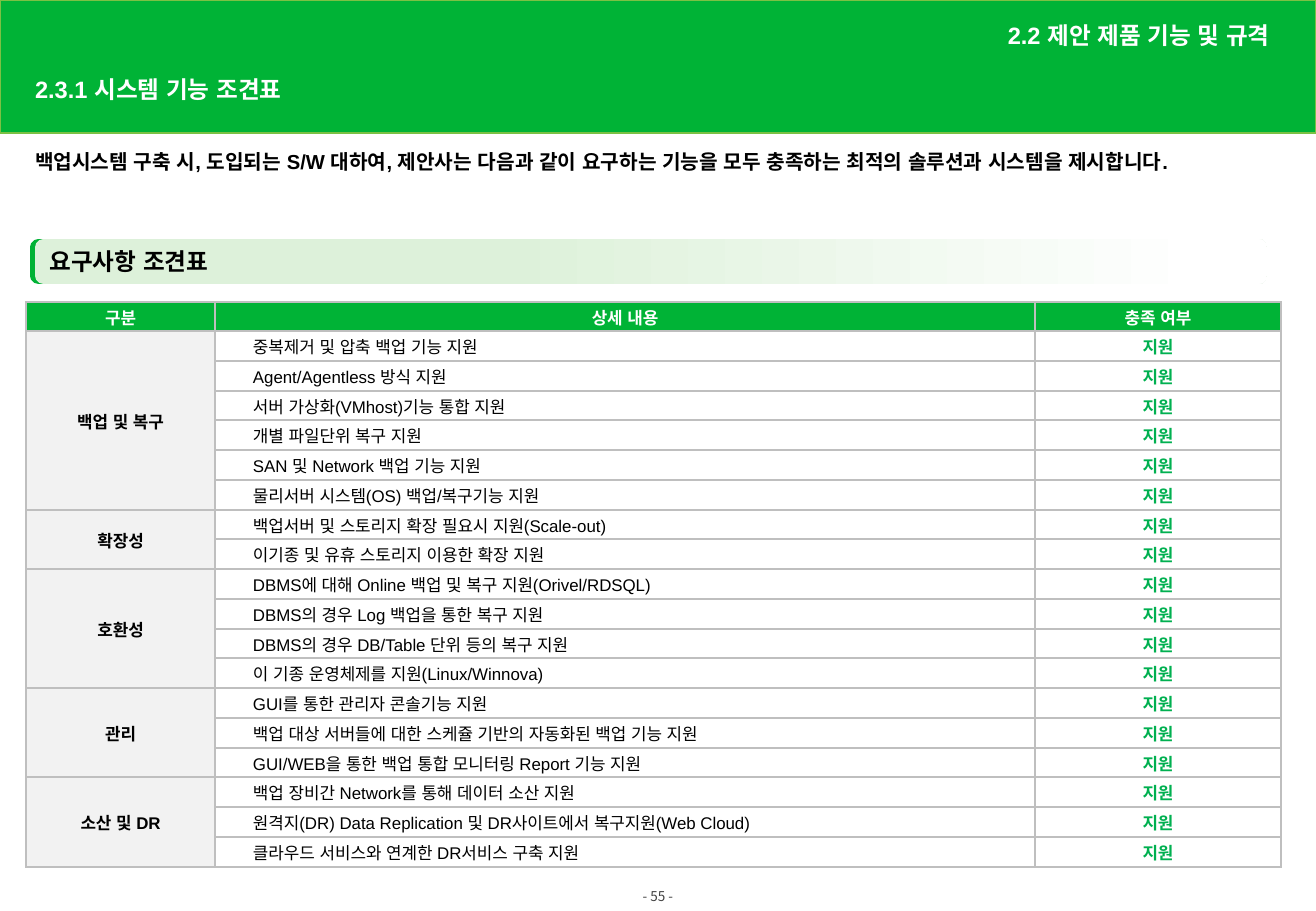
import pptx
import pptx.util
import pptx.dml.color
import pptx.enum.lang
import pptx.enum.shapes
import pptx.enum.text
import pptx.oxml
import pptx.oxml.ns
import lxml.etree

PX = 7526
GREEN = "00B336"
BLACK = "000000"
WHITE = "FFFFFF"
KOREAN_FONT = "Noto Sans CJK KR"
LEFT, CENTER, RIGHT = (
    pptx.enum.text.PP_ALIGN.LEFT,
    pptx.enum.text.PP_ALIGN.CENTER,
    pptx.enum.text.PP_ALIGN.RIGHT,
)
TOP, MIDDLE = pptx.enum.text.MSO_ANCHOR.TOP, pptx.enum.text.MSO_ANCHOR.MIDDLE
NAMESPACE = pptx.oxml.ns.nsdecls("a")


def color(value):
    return pptx.dml.color.RGBColor.from_string(value)


def write(text_frame, text, size, text_color, bold=True, align=LEFT, font_name="Arial"):
    paragraph = text_frame.paragraphs[0]
    paragraph.alignment = align
    run = paragraph.add_run()
    run.text = text
    font_format = {
        "name": font_name,
        "size": pptx.util.Pt(size),
        "bold": bold,
        "language_id": pptx.enum.lang.MSO_LANGUAGE_ID.KOREAN,
    }
    for name, value in font_format.items():
        setattr(run.font, name, value)
    run.font.color.rgb = color(text_color)
    east_asian = lxml.etree.SubElement(run.font._element, pptx.oxml.ns.qn("a:ea"))
    east_asian.set("typeface", KOREAN_FONT)
    return paragraph


presentation = pptx.Presentation()
presentation.slide_width = 1316 * PX
presentation.slide_height = 911 * PX
slide = presentation.slides.add_slide(presentation.slide_layouts[6])

banner = slide.shapes.add_shape(
    pptx.enum.shapes.MSO_SHAPE.RECTANGLE, 0, 0, 1316 * PX, 133 * PX
)
banner.shadow.inherit = False
banner.fill.solid()
banner.fill.fore_color.rgb = color(GREEN)
banner.line.color.rgb = color("7BC144")
banner.line.width = pptx.util.Pt(1)

text_boxes = [
    ((622, 888, 72, 16), "- 55 -", 8, "404040", False, CENTER, KOREAN_FONT, TOP, 0, 1),
    ((23, 72, 778, 38), "2.3.1 시스템 기능 조견표", 14, WHITE, True, LEFT, "Arial", MIDDLE, 12, 0.9),
    ((23, 143, 1258, 143), "백업시스템 구축 시, 도입되는 S/W 대하여, 제안사는 다음과 같이 요구하는 기능을 모두 충족하는 최적의 솔루션과 시스템을 제시합니다.",
     12, BLACK, True, LEFT, "Arial", TOP, 12, 1),
    ((699, 13, 583, 47), "2.2 제안 제품 기능 및 규격", 14, WHITE, True, RIGHT, "Arial", MIDDLE, 12, 0.9),
]
for box, text, size, text_color, bold, align, font_name, anchor, inset, spacing in text_boxes:
    text_box = slide.shapes.add_textbox(*[length * PX for length in box])
    frame_format = {
        "word_wrap": True,
        "vertical_anchor": anchor,
        "margin_left": inset * PX,
        "margin_right": inset * PX,
        "margin_top": inset // 2 * PX,
        "margin_bottom": inset // 2 * PX,
    }
    for name, value in frame_format.items():
        setattr(text_box.text_frame, name, value)
    paragraph = write(text_box.text_frame, text, size, text_color, bold, align, font_name)
    paragraph.line_spacing = spacing

requirements = {
    "백업 및 복구": [
        "중복제거 및 압축 백업 기능 지원",
        "Agent/Agentless 방식 지원",
        "서버 가상화(VMhost)기능 통합 지원",
        "개별 파일단위 복구 지원",
        "SAN 및 Network 백업 기능 지원",
        "물리서버 시스템(OS) 백업/복구기능 지원",
    ],
    "확장성": [
        "백업서버 및 스토리지 확장 필요시 지원(Scale-out)",
        "이기종 및 유휴 스토리지 이용한 확장 지원",
    ],
    "호환성": [
        "DBMS에 대해 Online 백업 및 복구 지원(Orivel/RDSQL)",
        "DBMS의 경우 Log 백업을 통한 복구 지원",
        "DBMS의 경우 DB/Table 단위 등의 복구 지원",
        "이 기종 운영체제를 지원(Linux/Winnova)",
    ],
    "관리": [
        "GUI를 통한 관리자 콘솔기능 지원",
        "백업 대상 서버들에 대한 스케쥴 기반의 자동화된 백업 기능 지원",
        "GUI/WEB을 통한 백업 통합 모니터링 Report 기능 지원",
    ],
    "소산 및 DR": [
        "백업 장비간 Network를 통해 데이터 소산 지원",
        "원격지(DR) Data Replication 및 DR사이트에서 복구지원(Web Cloud)",
        "클라우드 서비스와 연계한 DR서비스 구축 지원",
    ],
}
rows = [("구분", "상세 내용", "충족 여부")]
groups = []
for category, details in requirements.items():
    groups.append((len(rows), len(details)))
    for index, detail in enumerate(details):
        rows.append((category if index == 0 else "", detail, "지원"))

table = slide.shapes.add_table(
    len(rows), 3, 26 * PX, 302 * PX, 1255 * PX, 565 * PX
).table
for column, width in zip(table.columns, (189, 820, 246)):
    column.width = width * PX
for index, row in enumerate(table.rows):
    row.height = (565 * (index + 1) // len(rows) - 565 * index // len(rows)) * PX

column_styles = [
    ("F2F2F2", BLACK, True, CENTER, 1),
    (WHITE, BLACK, False, LEFT, 38),
    (WHITE, "00B050", True, CENTER, 1),
]
for row_index, texts in enumerate(rows):
    for column_index, text in enumerate(texts):
        fill, text_color, bold, align, inset = column_styles[column_index]
        if row_index == 0:
            fill, text_color, bold, align, inset = GREEN, WHITE, True, CENTER, 1
        cell = table.cell(row_index, column_index)
        cell_format = {
            "vertical_anchor": MIDDLE,
            "margin_left": inset * PX,
            "margin_right": PX,
            "margin_top": PX,
            "margin_bottom": 0,
        }
        for name, value in cell_format.items():
            setattr(cell, name, value)
        for side in ("lnL", "lnR", "lnT", "lnB"):
            cell._tc.get_or_add_tcPr().append(pptx.oxml.parse_xml(
                f'<a:{side} {NAMESPACE} w="12700"><a:solidFill>'
                f'<a:srgbClr val="BFBFBF"/></a:solidFill></a:{side}>'
            ))
        cell.fill.solid()
        cell.fill.fore_color.rgb = color(fill)
        if text:
            write(cell.text_frame, text, 10, text_color, bold, align)
for first, count in groups:
    table.cell(first, 0).merge(table.cell(first + count - 1, 0))

heading = slide.shapes.add_shape(
    pptx.enum.shapes.MSO_SHAPE.ROUNDED_RECTANGLE, 35 * PX, 239 * PX, 1232 * PX, 45 * PX
)
heading.adjustments[0] = 0.19
heading.shadow.inherit = False
heading.line.fill.background()
heading.fill.gradient()
heading.fill.gradient_angle = 0
stops = heading._element.spPr.find(".//" + pptx.oxml.ns.qn("a:gsLst"))
for stop in list(stops):
    stops.remove(stop)
for position, stop_color in ((0, "DDF1DA"), (38, "DDF1DA"), (95, WHITE)):
    stops.append(pptx.oxml.parse_xml(
        f'<a:gs {NAMESPACE} pos="{position * 1000}"><a:srgbClr val="{stop_color}"/></a:gs>'
    ))
heading._element.spPr.find(pptx.oxml.ns.qn("a:effectLst")).append(pptx.oxml.parse_xml(
    f'<a:outerShdw {NAMESPACE} dist="38100" dir="10800000" algn="r" rotWithShape="0">'
    '<a:srgbClr val="00B235"/></a:outerShdw>'
))
heading.text_frame.vertical_anchor = MIDDLE
paragraph = write(heading.text_frame, "요구사항 조견표", 14, BLACK, font_name=KOREAN_FONT)
paragraph.space_after = pptx.util.Pt(2)

presentation.save("out.pptx")
